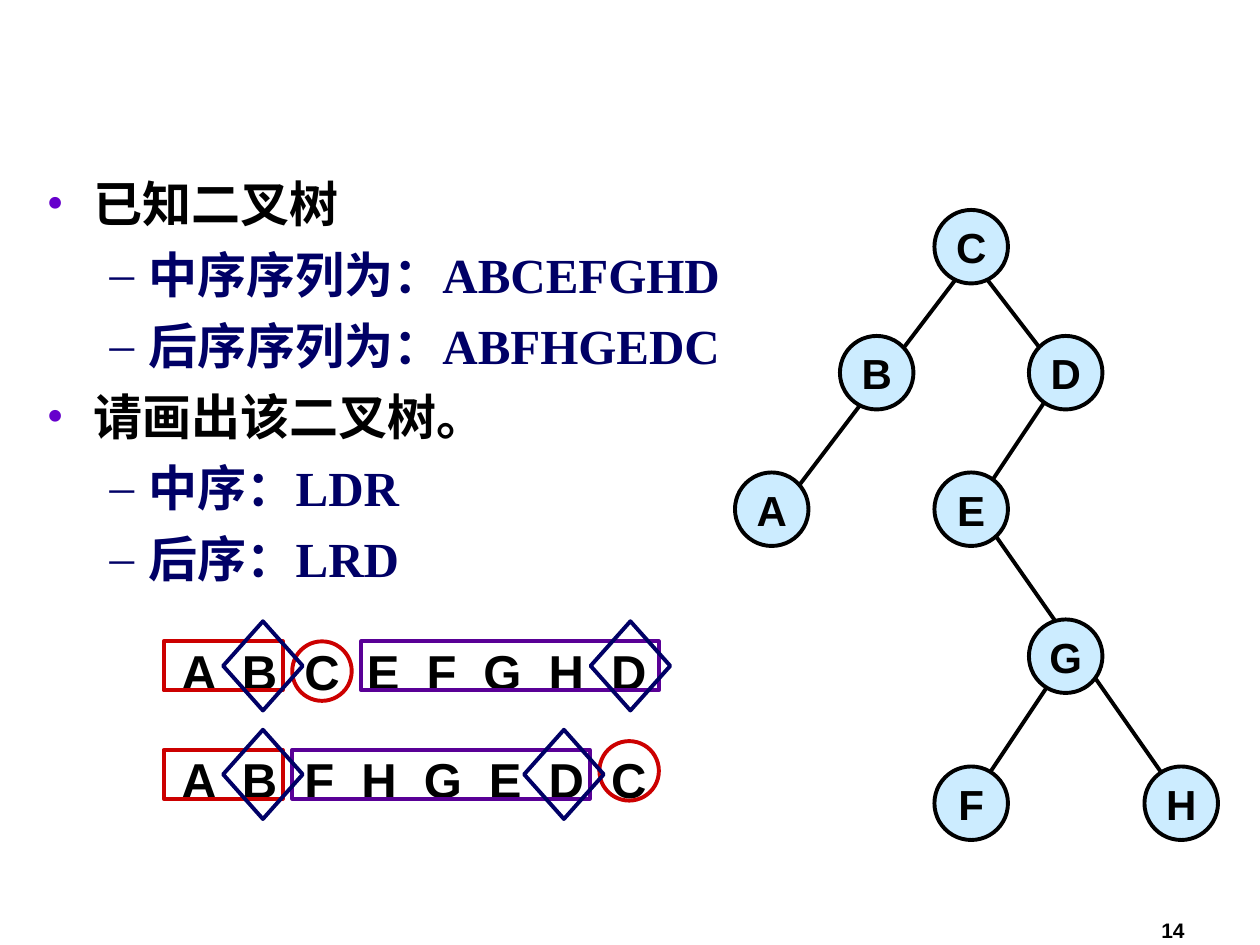
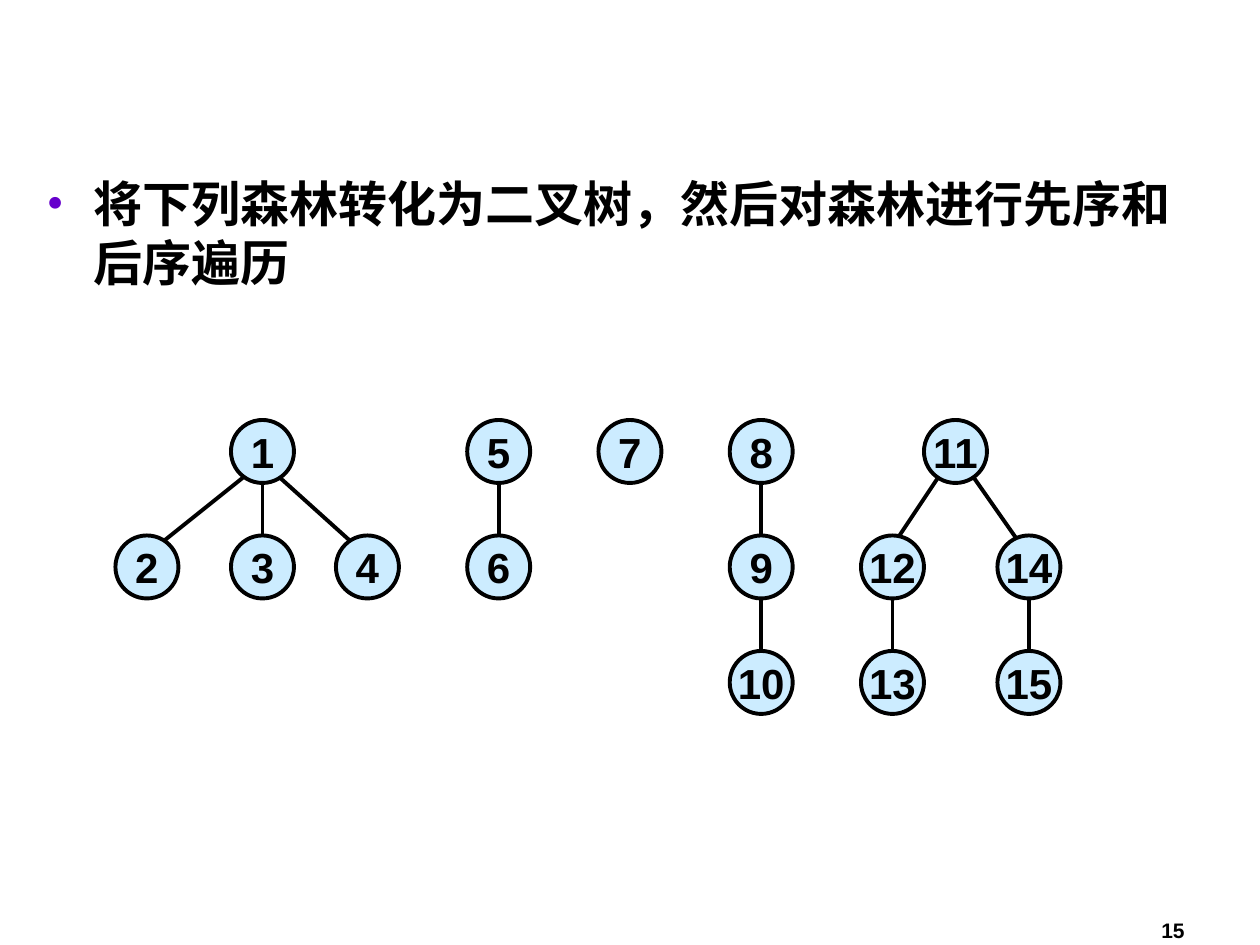
from pptx import Presentation
from pptx.dml.color import RGBColor
from pptx.enum.shapes import MSO_CONNECTOR, MSO_SHAPE
from pptx.enum.text import MSO_ANCHOR, PP_ALIGN
from pptx.oxml.ns import qn
from pptx.util import Pt
from lxml.etree import SubElement

BLACK = RGBColor(0x00, 0x00, 0x00)
NAVY = RGBColor(0x00, 0x00, 0x66)
PURPLE = RGBColor(0x66, 0x00, 0xCC)
PLUM = RGBColor(0x59, 0x00, 0x96)
RED = RGBColor(0xCC, 0x00, 0x00)
SKY = RGBColor(0xCC, 0xEC, 0xFF)

LEVELS = [("•", PURPLE, BLACK, 27, -27), ("–", NAVY, NAVY, 58.5, -22.5)]


def write(para, text, size, color=BLACK, font="Arial"):
    run = para.add_run()
    run.text = text
    run.font.name = font
    run.font.size = Pt(size)
    run.font.bold = True
    run.font.color.rgb = color
    return run


def draw(slide, kind, left, top, width, height, edge, fill=None):
    shape = slide.shapes.add_shape(kind, Pt(left), Pt(top), Pt(width), Pt(height))
    shape.shadow.inherit = False
    shape.line.color.rgb = edge
    shape.line.width = Pt(2.25)
    if fill is None:
        shape.fill.background()
    else:
        shape.fill.solid()
        shape.fill.fore_color.rgb = fill
    return shape


PAGES = [
    {
        "number": "14",
        "points": [
            (0, "已知二叉树"),
            (1, "中序序列为：ABCEFGHD"),
            (1, "后序序列为：ABFHGEDC"),
            (0, "请画出该二叉树。"),
            (1, "中序：LDR"),
            (1, "后序：LRD"),
        ],
        "size": 42,
        "edges": [
            (606, 216, 546, 306), (552, 282, 678, 462), (612, 372, 552, 462),
            (552, 144, 612, 222), (558, 144, 444, 294),
        ],
        "nodes": [
            ("C", 534, 120), ("B", 480, 192), ("A", 420, 270), ("D", 588, 192),
            ("E", 534, 270), ("G", 588, 354), ("F", 534, 438), ("H", 654, 438),
        ],
    },
    {
        "number": "15",
        "points": [(0, "将下列森林转化为二叉树，然后对森林进行先序和后序遍历")],
        "size": 36,
        "edges": [
            (150, 264, 90, 312), (150, 264, 150, 324), (150, 264, 210, 318),
            (285, 264, 285, 324), (435, 264, 435, 324), (435, 330, 435, 390),
            (546, 258, 510, 312), (546, 258, 588, 318),
            (510, 330, 510, 390), (588, 330, 588, 390),
        ],
        "nodes": [
            ("1", 132, 240), ("2", 66, 306), ("3", 132, 306), ("4", 192, 306),
            ("5", 267, 240), ("6", 267, 306), ("7", 342, 240),
            ("8", 417, 240), ("9", 417, 306), ("10", 417, 372),
            ("11", 528, 240), ("12", 492, 306), ("13", 492, 372),
            ("14", 570, 306), ("15", 570, 372),
        ],
    },
]

deck = Presentation()
deck.slide_width = Pt(720)
deck.slide_height = Pt(540)

for page in PAGES:
    slide = deck.slides.add_slide(deck.slide_layouts[6])

    frame = slide.shapes.add_textbox(Pt(516), Pt(506), Pt(168), Pt(36)).text_frame
    frame.word_wrap = True
    frame.vertical_anchor = MSO_ANCHOR.BOTTOM
    frame.paragraphs[0].alignment = PP_ALIGN.RIGHT
    write(frame.paragraphs[0], page["number"], 12)

    frame = slide.shapes.add_textbox(Pt(19.5), Pt(95.5), Pt(680), Pt(408)).text_frame
    frame.word_wrap = True
    for index, (level, text) in enumerate(page["points"]):
        mark, tint, color, margin, indent = LEVELS[level]
        para = frame.add_paragraph() if index else frame.paragraphs[0]
        para.level = level
        para.line_spacing = Pt(33.6)
        para.space_before = Pt(7 if index else 0)
        props = para._p.get_or_add_pPr()
        props.set("marL", str(Pt(margin)))
        props.set("indent", str(Pt(indent)))
        shade = SubElement(props, qn("a:buClr"))
        SubElement(shade, qn("a:srgbClr"), val=str(tint))
        SubElement(props, qn("a:buFont"), typeface="Times New Roman")
        SubElement(props, qn("a:buChar"), char=mark)
        write(para, text, 28, color, "Times New Roman")

    for edge in page["edges"]:
        line = slide.shapes.add_connector(MSO_CONNECTOR.STRAIGHT, *map(Pt, edge))
        line.line.color.rgb = BLACK
        line.line.width = Pt(2.25)
        SubElement(line._element.spPr, qn("a:effectLst"))

    size = page["size"]
    for label, left, top in page["nodes"]:
        node = draw(slide, MSO_SHAPE.OVAL, left, top, size, size, BLACK, SKY)
        frame = node.text_frame
        frame.word_wrap = False
        frame.vertical_anchor = MSO_ANCHOR.MIDDLE
        frame.paragraphs[0].alignment = PP_ALIGN.CENTER
        write(frame.paragraphs[0], label, 24)

slide = deck.slides[0]
ROWS = [
    ("A B C E F G H D", 366.5, 167, 366.5, 206.5, 337.5),
    ("A B F H G E D C", 428.5, 342.5, 423.5, 167, 299.5),
]
for text, top, ring, rise, span, gem in ROWS:
    box = slide.shapes.add_textbox(Pt(96.5), Pt(top - 3.5), Pt(290), Pt(41))
    box.text_frame.word_wrap = True
    run = write(box.text_frame.paragraphs[0], text, 28)
    run.font._element.set("spc", "389")
    draw(slide, MSO_SHAPE.OVAL, ring, rise, 34, 34, RED)
    draw(slide, MSO_SHAPE.RECTANGLE, 93.5, top, 68, 28, RED)
    draw(slide, MSO_SHAPE.RECTANGLE, span, top, 170, 28, PLUM)
    for left in (127.5, gem):
        draw(slide, MSO_SHAPE.DIAMOND, left, top - 11.5, 45.5, 51, NAVY)

deck.save("out.pptx")
